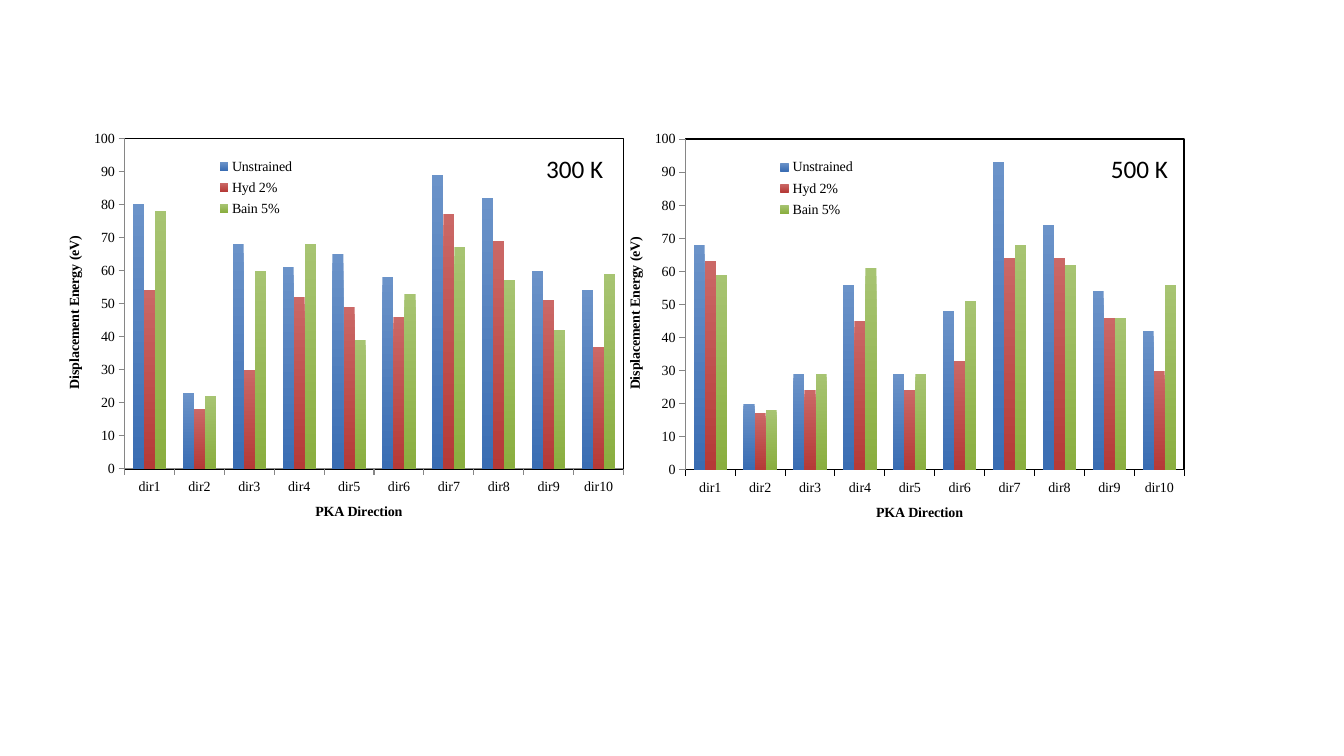
from dataclasses import dataclass

from lxml import etree
from pptx import Presentation
from pptx import oxml
from pptx import util as u
from pptx.chart import data
from pptx.dml import color
from pptx.enum import chart as ch
from pptx.enum import text
from pptx.oxml import ns


@dataclass(frozen=True)
class Theme:
    ink: str = "000000"
    axis: str = "868686"
    bars: tuple = (("6B93C9", "3A6DB3"), ("CB6866", "B53A37"), ("A7C472", "8AAE3F"))
    chart_font: str = "Times New Roman"
    label_font: str = "Calibri"
    chart_size: int = 10
    label_size: int = 18


THEME = Theme()
DIRECTIONS = [f"dir{n}" for n in range(1, 11)]
STRAINS = ("Unstrained", "Hyd 2%", "Bain 5%")
PLOT_AREA = (0.103, 0.043, 0.825, 0.82)
LEGEND_AREA = (0.25, 0.08, 0.14, 0.17)
CHART_SIZE = (15.24, 10.16)
LABEL_SIZE = (2.41, 1.02)

PANELS = (
    {
        "temperature": "500 K",
        "chart_at": (15.7, 3.07),
        "label_at": (27.51, 3.73),
        "baseline": THEME.ink,
        "energies": (
            (68, 20, 29, 56, 29, 48, 93, 74, 54, 42),
            (63, 17, 24, 45, 24, 33, 64, 64, 46, 30),
            (59, 18, 29, 61, 29, 51, 68, 62, 46, 56),
        ),
    },
    {
        "temperature": "300 K",
        "chart_at": (1.57, 3.05),
        "label_at": (13.28, 3.73),
        "baseline": THEME.axis,
        "energies": (
            (80, 23, 68, 61, 65, 58, 89, 82, 60, 54),
            (54, 18, 30, 52, 49, 46, 77, 69, 51, 37),
            (78, 22, 60, 68, 39, 53, 67, 57, 42, 59),
        ),
    },
)


def rgb(value):
    return color.RGBColor.from_string(value)


def assign(target, values):
    for name, value in values.items():
        setattr(target, name, value)


def style_font(font, name, size, bold=False):
    assign(font, {"name": name, "size": u.Pt(size), "bold": bold})
    font.color.rgb = rgb(THEME.ink)


def layout_xml(area, inner=False):
    target = '<c:layoutTarget val="inner"/>' if inner else ""
    x, y, w, h = area
    return oxml.parse_xml(
        f'<c:layout {ns.nsdecls("c")}><c:manualLayout>{target}'
        '<c:xMode val="edge"/><c:yMode val="edge"/>'
        f'<c:x val="{x}"/><c:y val="{y}"/><c:w val="{w}"/><c:h val="{h}"/>'
        "</c:manualLayout></c:layout>"
    )


def frame_xml(line):
    return oxml.parse_xml(
        f'<c:spPr {ns.nsdecls("c", "a")}><a:noFill/>'
        f'<a:ln w="12700">{line}</a:ln></c:spPr>'
    )


def drop_layout(parent):
    for layout in parent.findall(ns.qn("c:layout")):
        parent.remove(layout)


def style_axis(axis, title, line):
    assign(axis, {
        "has_major_gridlines": False,
        "has_minor_gridlines": False,
        "major_tick_mark": ch.XL_TICK_MARK.OUTSIDE,
        "minor_tick_mark": ch.XL_TICK_MARK.NONE,
    })
    axis.format.line.color.rgb = rgb(line)
    axis.format.line.width = u.Pt(0.75)
    caption = axis.axis_title.text_frame
    caption.text = title
    style_font(caption.paragraphs[0].runs[0].font,
               THEME.chart_font, THEME.chart_size, True)
    return caption


def style_bars(plot):
    assign(plot, {"gap_width": 150, "overlap": 0, "vary_by_categories": False})
    for strain, shades in zip(plot.series, THEME.bars):
        strain.invert_if_negative = False
        fill = strain.format.fill
        fill.gradient()
        fill.gradient_angle = 270
        for stop, shade in zip(fill.gradient_stops, shades):
            stop.color.rgb = rgb(shade)


def place_legend(chart):
    chart.has_legend = True
    assign(chart.legend, {
        "position": ch.XL_LEGEND_POSITION.RIGHT,
        "include_in_layout": False,
    })
    style_font(chart.legend.font, THEME.chart_font, THEME.chart_size)
    legend = chart.legend._element
    drop_layout(legend)
    legend.find(ns.qn("c:legendPos")).addnext(layout_xml(LEGEND_AREA))


def frame_plot(chart):
    space = chart._chartSpace
    space.find(ns.qn("c:chart")).addnext(frame_xml("<a:noFill/>"))
    plot_area = space.find(f'.//{ns.qn("c:plotArea")}')
    drop_layout(plot_area)
    plot_area.insert(0, layout_xml(PLOT_AREA, inner=True))
    plot_area.append(frame_xml(
        f'<a:solidFill><a:srgbClr val="{THEME.ink}"/></a:solidFill>'))


def add_energy_chart(slide, chart_at, energies, baseline):
    table = data.CategoryChartData()
    table.categories = DIRECTIONS
    for strain, values in zip(STRAINS, energies):
        table.add_series(strain, values)
    place = [u.Cm(n) for n in chart_at + CHART_SIZE]
    chart = slide.shapes.add_chart(
        ch.XL_CHART_TYPE.COLUMN_CLUSTERED, *place, table).chart
    chart.has_title = False
    style_font(chart.font, THEME.chart_font, THEME.chart_size)
    style_axis(chart.category_axis, "PKA Direction", baseline)
    energy = style_axis(chart.value_axis, "Displacement Energy (eV)", THEME.axis)
    assign(chart.value_axis, {
        "minimum_scale": 0, "maximum_scale": 100, "major_unit": 10,
    })
    turn = energy._txBody.find(ns.qn("a:bodyPr"))
    turn.set("rot", "-5400000")
    turn.set("vert", "horz")
    style_bars(chart.plots[0])
    place_legend(chart)
    frame_plot(chart)


def add_temperature(slide, label_at, temperature):
    place = [u.Cm(n) for n in label_at + LABEL_SIZE]
    label = slide.shapes.add_textbox(*place).text_frame
    assign(label, {
        "word_wrap": True,
        "auto_size": text.MSO_AUTO_SIZE.SHAPE_TO_FIT_TEXT,
    })
    line = label.paragraphs[0]
    line.alignment = text.PP_ALIGN.CENTER
    run = line.add_run()
    run.text = temperature
    style_font(run.font, THEME.label_font, THEME.label_size)


def main():
    deck = Presentation()
    assign(deck, {"slide_width": u.Cm(33.87), "slide_height": u.Cm(19.05)})
    slide = deck.slides.add_slide(deck.slide_layouts[6])
    for panel in PANELS:
        add_energy_chart(slide, panel["chart_at"], panel["energies"], panel["baseline"])
    for panel in reversed(PANELS):
        add_temperature(slide, panel["label_at"], panel["temperature"])
    deck.save("out.pptx")


if __name__ == "__main__":
    main()
